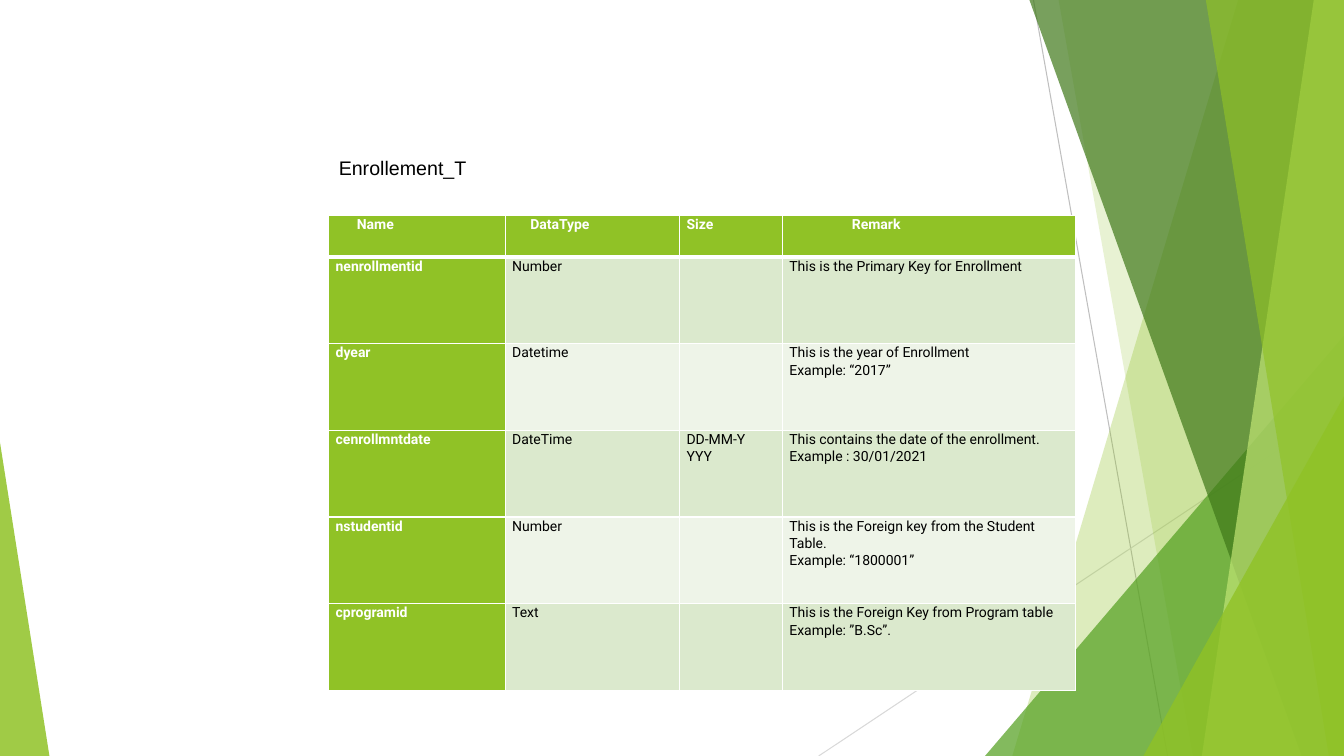
from lxml.etree import SubElement
from pptx import Presentation
from pptx.dml.color import RGBColor
from pptx.enum.shapes import MSO_CONNECTOR as Connector, MSO_SHAPE as Shape
from pptx.enum.text import MSO_ANCHOR as Anchor, MSO_AUTO_SIZE as AutoSize, PP_ALIGN as Align
from pptx.oxml.ns import qn
from pptx.util import Inches, Pt

WIDTH, HEIGHT = 13.33, 7.5
LIME = RGBColor(0x90, 0xC2, 0x26)
GREEN = RGBColor(0x54, 0xA0, 0x21)
DARK_GREEN = RGBColor(0x3F, 0x78, 0x19)
PALE_LIME = RGBColor(0xC0, 0xE4, 0x74)
BANDS = RGBColor(0xDB, 0xE9, 0xCD), RGBColor(0xEE, 0xF4, 0xE8)
GREY = RGBColor(0xBF, 0xBF, 0xBF)
LIGHT_GREY = RGBColor(0xD9, 0xD9, 0xD9)
WHITE = RGBColor(0xFF, 0xFF, 0xFF)
BLACK = RGBColor(0, 0, 0)

COLUMN_WIDTHS = 1.75, 1.73, 1.02, 2.91
HEADER_HEIGHT, ROW_HEIGHT = 0.41, 0.86
HEADER_INDENTS = 0.21, 0.18, 0, 0.62
CELL_MARGIN = 0.07
ROWS = [
    ("Name", "DataType", "Size", "Remark"),
    ("nenrollmentid", "Number", "", "This is the Primary Key for Enrollment"),
    ("dyear", "Datetime", "", "This is the year of Enrollment\nExample: “2017”"),
    ("cenrollmntdate", "DateTime", "DD-MM-Y\nYYY",
     "This contains the date of the enrollment.\nExample : 30/01/2021"),
    ("nstudentid", "Number", "",
     "This is the Foreign key from the Student Table.\nExample: “1800001”"),
    ("cprogramid", "Text", "",
     "This is the Foreign Key from Program table\nExample: ”B.Sc”."),
]


def paint(shape, color, opacity):
    shape.shadow.inherit = False
    shape.line.fill.background()
    shape.fill.solid()
    shape.fill.fore_color.rgb = color
    color_element = shape.fill._xPr.find(qn("a:solidFill"))[0]
    SubElement(color_element, qn("a:alpha"), val=str(opacity * 1000))


def add_line(slide, start, end, color):
    points = [Inches(value) for value in (*start, *end)]
    line = slide.shapes.add_connector(Connector.STRAIGHT, *points)
    line.line.color.rgb = color
    line.line.width = Pt(0.75)
    SubElement(line._element.spPr, qn("a:effectLst"))


def add_shard(slide, top_x, bottom_x, color, opacity):
    builder = slide.shapes.build_freeform(Inches(top_x), 0)
    corners = (WIDTH, 0), (WIDTH, HEIGHT), (bottom_x, HEIGHT)
    builder.add_line_segments([(Inches(x), Inches(y)) for x, y in corners])
    paint(builder.convert_to_shape(), color, opacity)


def add_triangle(slide, left, top, width, apex, color, opacity):
    triangle = slide.shapes.add_shape(
        Shape.ISOSCELES_TRIANGLE, Inches(left), Inches(top), Inches(width), Inches(HEIGHT - top))
    triangle.adjustments[0] = apex
    paint(triangle, color, opacity)


def add_backdrop(slide):
    add_line(slide, (10.25, 0), (11.58, HEIGHT), GREY)
    add_line(slide, (WIDTH, 4.03), (8.12, HEIGHT), LIGHT_GREY)
    add_shard(slide, 12.28, 10.04, LIME, 30)
    add_shard(slide, 10.5, 11.83, LIME, 20)
    add_triangle(slide, 9.77, 3.33, 3.56, 1, GREEN, 72)
    add_shard(slide, 10.21, 12.91, DARK_GREEN, 70)
    add_shard(slide, 13.03, 11.92, PALE_LIME, 70)
    add_shard(slide, 11.96, 13.18, LIME, 65)
    add_triangle(slide, 11.34, 3.93, 1.99, 1, LIME, 80)
    add_triangle(slide, 0, 4.39, 0.49, 0, LIME, 85)


def set_title(slide, text):
    title = slide.shapes.title
    title.left, title.top = Inches(3.26), Inches(1.49)
    title.width, title.height = Inches(1.47), Inches(0.34)
    frame = title.text_frame
    frame.text = text
    frame.word_wrap = False
    frame.auto_size = AutoSize.NONE
    frame.vertical_anchor = Anchor.MIDDLE
    paragraph = frame.paragraphs[0]
    paragraph.alignment = Align.LEFT
    paragraph.font.size = Pt(14)
    paragraph.font.name = "Arial"
    paragraph.font.color.rgb = BLACK


def set_borders(cell, is_header, below_header):
    properties = cell._tc.get_or_add_tcPr()
    thick = {"B"} if is_header else {"T"} if below_header else set()
    for index, side in enumerate("LRTB"):
        width = Pt(3 if side in thick else 1)
        border = properties.makeelement(qn(f"a:ln{side}"), {"w": str(width)})
        fill = SubElement(border, qn("a:solidFill"))
        SubElement(fill, qn("a:srgbClr"), val=str(WHITE))
        properties.insert(index, border)


def fill_cell(cell, text, row, column):
    is_label = row == 0 or column == 0
    indent = HEADER_INDENTS[column] if row == 0 else 0
    cell.margin_left = Inches(CELL_MARGIN + indent)
    cell.margin_right = Inches(CELL_MARGIN)
    cell.margin_top = cell.margin_bottom = 0
    cell.fill.solid()
    cell.fill.fore_color.rgb = LIME if is_label else BANDS[(row - 1) % 2]
    set_borders(cell, row == 0, row == 1)
    cell.text = text
    for paragraph in cell.text_frame.paragraphs:
        paragraph.line_spacing = 1.07
        paragraph.font.name = "Roboto"
        paragraph.font.size = Pt(10)
        paragraph.font.bold = is_label
        paragraph.font.color.rgb = WHITE if is_label else BLACK


def add_field_table(slide):
    height = HEADER_HEIGHT + ROW_HEIGHT * (len(ROWS) - 1)
    table = slide.shapes.add_table(
        len(ROWS), len(COLUMN_WIDTHS), Inches(3.26), Inches(2.14),
        Inches(sum(COLUMN_WIDTHS)), Inches(height)).table
    table.horz_banding = False
    for column, width in zip(table.columns, COLUMN_WIDTHS):
        column.width = Inches(width)
    for row, texts in enumerate(ROWS):
        table.rows[row].height = Inches(ROW_HEIGHT if row else HEADER_HEIGHT)
        for column, text in enumerate(texts):
            fill_cell(table.cell(row, column), text, row, column)


def main():
    """Build the slide describing the enrollment table."""
    presentation = Presentation()
    presentation.slide_width = Inches(WIDTH)
    presentation.slide_height = Inches(HEIGHT)
    slide = presentation.slides.add_slide(presentation.slide_layouts[5])
    add_backdrop(slide)
    set_title(slide, "Enrollement_T")
    add_field_table(slide)
    presentation.save("out.pptx")


if __name__ == "__main__":
    main()
